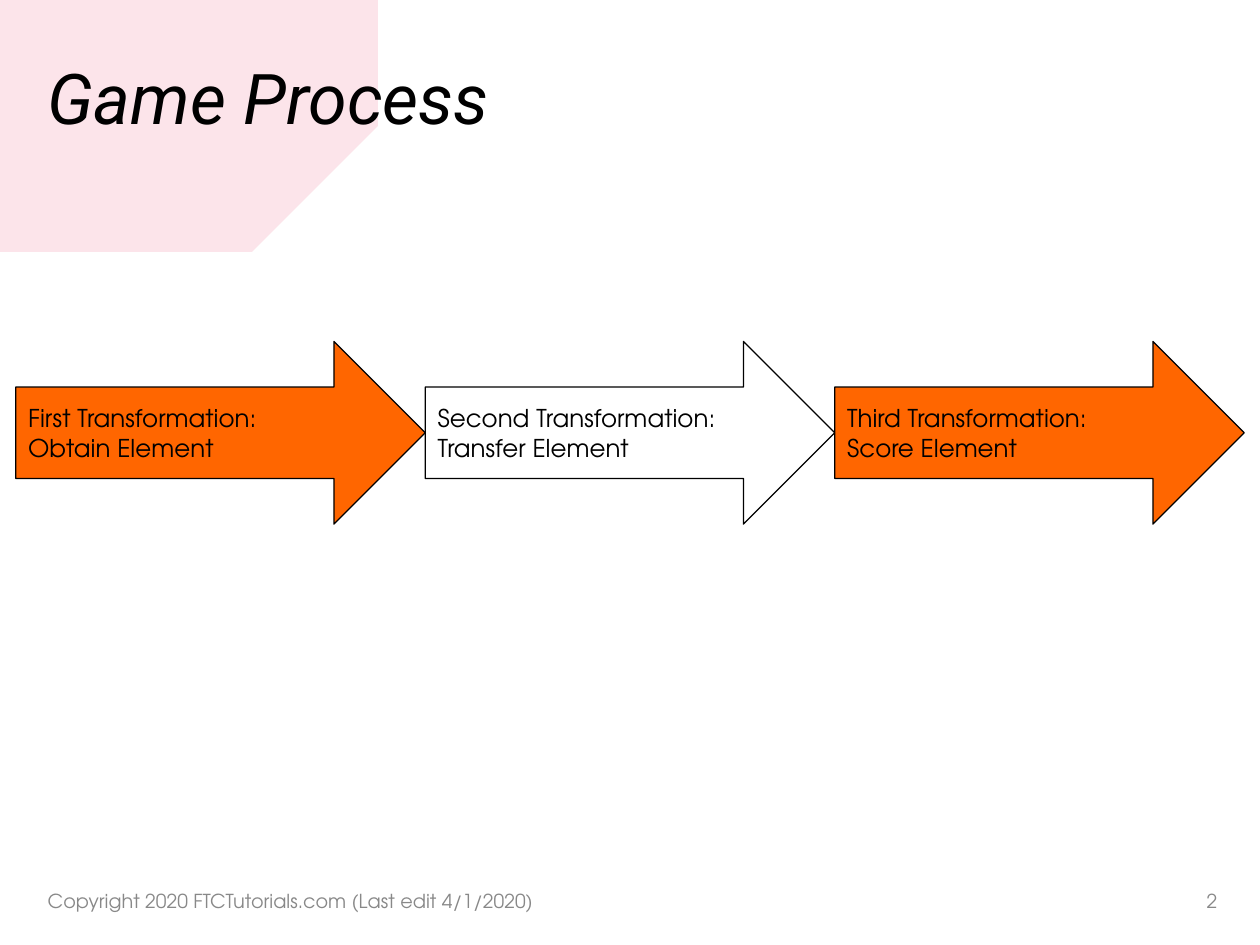
import pptx
import pptx.dml.color
import pptx.enum.shapes
import pptx.enum.text
import pptx.oxml
import pptx.oxml.ns
import pptx.util
from pptx.util import Inches

RGBColor = pptx.dml.color.RGBColor
PINK = RGBColor(0xF0, 0x7C, 0x98)
ORANGE = RGBColor(0xFF, 0x66, 0x00)
WHITE = RGBColor(0xFF, 0xFF, 0xFF)
BLACK = RGBColor(0x00, 0x00, 0x00)
GREY = RGBColor(0x88, 0x88, 0x88)

ALIGN = pptx.enum.text.PP_ALIGN
BODY_FONT = "TeX Gyre Adventor"
TITLE_FORMAT = {"name": "Roboto", "size": pptx.util.Pt(40), "italic": True}
ARROW_FORMAT = {"name": BODY_FONT, "size": pptx.util.Pt(14)}
FOOTER_FORMAT = {"name": BODY_FONT, "size": pptx.util.Pt(11)}

SLIDE_WIDTH, SLIDE_HEIGHT = 10, 7.5
ARROW_WIDTH, ARROW_HEIGHT, ARROW_TOP = 3.25, 1.45, 2.71
FOOTER_TOP, FOOTER_HEIGHT = 6.95, 0.4

STEPS = [
    (["First Transformation:", "Obtain Element"], ORANGE),
    (["Second Transformation: Transfer Element"], WHITE),
    (["Third Transformation:", "Score Element"], ORANGE),
]

BRUSH_OUTLINE = [
    (0, 0.34), (0.25, 0.37), (1.5, 0.38), (1.94, 0.41), (2.48, 0.41),
    (2.7, 0.41), (2.8, 0.47), (2.53, 0.57), (2.62, 0.62), (2.38, 0.66),
    (2.75, 0.74), (2.51, 0.75), (2.9, 0.85), (2.63, 0.88), (3.3, 0.94),
    (3.18, 1.06), (3.07, 1.11), (2.8, 1.18), (2.74, 1.28), (3.08, 1.28),
    (2.69, 1.38), (2.73, 1.42), (2.52, 1.48), (2.63, 1.48), (1.97, 1.72),
    (1.02, 1.88), (0.65, 1.91), (0, 1.88),
]


def set_format(target, values):
    for name, value in values.items():
        setattr(target, name, value)


def add_brush_stroke(page):
    builder = page.shapes.build_freeform(*BRUSH_OUTLINE[0], scale=Inches(1))
    builder.add_line_segments(BRUSH_OUTLINE[1:], close=True)
    stroke = builder.convert_to_shape()
    stroke.shadow.inherit = False
    stroke.fill.solid()
    stroke.fill.fore_color.rgb = PINK
    stroke.line.fill.background()
    color = stroke.element.spPr.find(".//" + pptx.oxml.ns.qn("a:srgbClr"))
    color.append(pptx.oxml.parse_xml(
        f'<a:alpha {pptx.oxml.ns.nsdecls("a")} val="20000"/>'))


def write_text(box, lines, font, color, align=ALIGN.LEFT, inset=0.05, spacing=None):
    frame = box.text_frame
    set_format(frame, {
        "word_wrap": True,
        "vertical_anchor": pptx.enum.text.MSO_ANCHOR.MIDDLE,
        "margin_left": Inches(0.1), "margin_right": Inches(0.1),
        "margin_top": Inches(inset), "margin_bottom": Inches(inset),
    })
    for index, line in enumerate(lines):
        para = frame.add_paragraph() if index else frame.paragraphs[0]
        set_format(para, {"alignment": align, "line_spacing": spacing})
        span = para.add_run()
        span.text = line
        set_format(span.font, font)
        span.font.color.rgb = color


def add_text(page, place, text, font, color, **options):
    box = page.shapes.add_textbox(*map(Inches, place))
    write_text(box, [text], font, color, **options)


def add_arrow(page, left, lines, fill):
    arrow = page.shapes.add_shape(
        pptx.enum.shapes.MSO_SHAPE.RIGHT_ARROW, Inches(left), Inches(ARROW_TOP),
        Inches(ARROW_WIDTH), Inches(ARROW_HEIGHT))
    arrow.shadow.inherit = False
    arrow.fill.solid()
    arrow.fill.fore_color.rgb = fill
    arrow.line.color.rgb = BLACK
    arrow.line.width = pptx.util.Pt(0.75)
    write_text(arrow, lines, ARROW_FORMAT, BLACK, inset=0.1)


def main():
    deck = pptx.Presentation()
    deck.slide_width, deck.slide_height = Inches(SLIDE_WIDTH), Inches(SLIDE_HEIGHT)
    page = deck.slides.add_slide(deck.slide_layouts[6])

    add_brush_stroke(page)
    add_text(page, (0.28, 0.4, 9.47, 0.81), "Game Process", TITLE_FORMAT, BLACK,
             spacing=0.9)
    first_left = (SLIDE_WIDTH - len(STEPS) * ARROW_WIDTH) / 2
    for index, (lines, fill) in enumerate(STEPS):
        add_arrow(page, first_left + index * ARROW_WIDTH, lines, fill)
    add_text(page, (0.28, FOOTER_TOP, 4.5, FOOTER_HEIGHT),
             "Copyright 2020 FTCTutorials.com (Last edit 4/1/2020)",
             FOOTER_FORMAT, GREY)
    add_text(page, (9.19, FOOTER_TOP, 0.57, FOOTER_HEIGHT), "2",
             FOOTER_FORMAT, GREY, align=ALIGN.RIGHT)
    deck.save("out.pptx")


if __name__ == "__main__":
    main()
